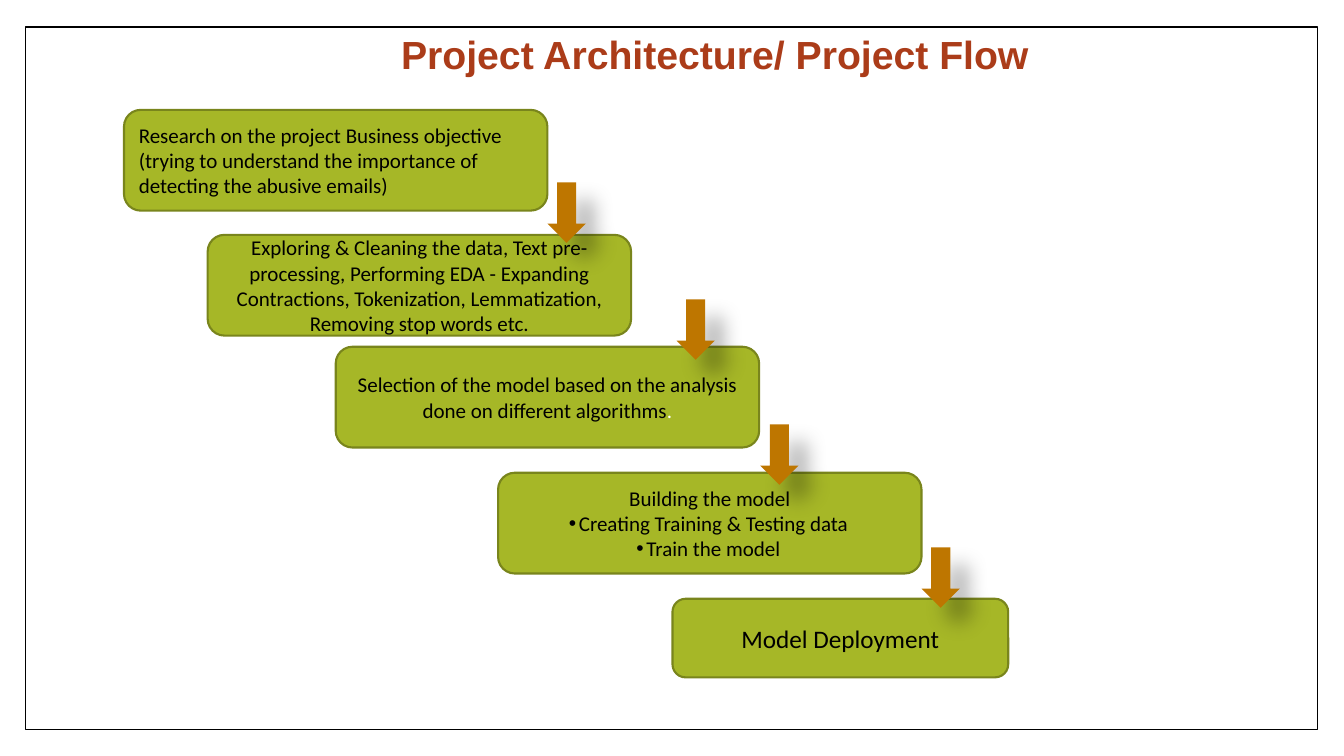
import pptx
import pptx.util
import pptx.dml.color
import pptx.enum.shapes
import pptx.enum.text
import pptx.oxml
import pptx.oxml.ns

Inches = pptx.util.Inches
Pt = pptx.util.Pt
Shapes = pptx.enum.shapes.MSO_SHAPE
Align = pptx.enum.text.PP_ALIGN

TITLE = "Project Architecture/ Project Flow"
LARGE = (4.2, 1)
SMALL = (3.33, 0.78)
STEPS = [
    (1.23, 1.09, LARGE, 15, Align.LEFT,
     ["Research on the project Business objective (trying to understand "
      "the importance of detecting the abusive emails)"]),
    (2.06, 2.33, LARGE, 15, Align.CENTER,
     ["Exploring & Cleaning the data, Text pre-processing, Performing EDA - "
      "Expanding Contractions, Tokenization, Lemmatization, "
      "Removing stop words etc."]),
    (3.33, 3.44, LARGE, 15, Align.CENTER,
     ["Selection of the model based on the analysis done on different algorithms"]),
    (4.94, 4.69, LARGE, 15, Align.CENTER,
     ["Building the model", "Creating Training & Testing data", "Train the model"]),
    (6.67, 5.94, SMALL, 18, Align.CENTER, ["Model Deployment"]),
]
WHITE_STOP_STEP = 2
ARROWS = [(5.43, 1.81), (6.71, 2.97), (7.54, 4.21), (9.14, 5.43)]
ARROW_SIZE = (0.38, 0.6)
NS = pptx.oxml.ns.nsdecls("a")
BULLET = [
    f'<a:buClr {NS}><a:srgbClr val="000000"/></a:buClr>',
    f'<a:buFont {NS} typeface="Arial"/>',
    f'<a:buChar {NS} char="•"/>',
]
SHADOW = (
    f'<a:outerShdw {NS} blurRad="{Pt(15)}" dist="{Pt(18)}" dir="2700000" '
    'algn="tl" rotWithShape="0"><a:srgbClr val="000000">'
    '<a:alpha val="29000"/></a:srgbClr></a:outerShdw>'
)


def color(value):
    return pptx.dml.color.RGBColor.from_string(value)


def style_font(font, name, size, value):
    font.name = name
    font.size = Pt(size)
    font.color.rgb = color(value)


def add_shape(page, kind, place, size, fill, line=None, width=1):
    shape = page.shapes.add_shape(kind, *map(Inches, place + size))
    shape.shadow.inherit = False
    shape.fill.solid()
    shape.fill.fore_color.rgb = color(fill)
    if line:
        shape.line.color.rgb = color(line)
        shape.line.width = Pt(width)
    else:
        shape.line.fill.background()
    return shape


def add_title(page):
    box = page.shapes.add_textbox(*map(Inches, (3.88, 0.25, 6.67, 0.57)))
    frame = box.text_frame
    frame.word_wrap = True
    frame.auto_size = pptx.enum.text.MSO_AUTO_SIZE.SHAPE_TO_FIT_TEXT
    frame.text = TITLE
    font = frame.paragraphs[0].runs[0].font
    style_font(font, "Arial", 28, "AB3C19")
    font.bold = True


def add_step(page, left, top, size, points, align, lines):
    box = add_shape(page, Shapes.ROUNDED_RECTANGLE, (left, top), size,
                    "A6B727", "79851C", 1.5)
    frame = box.text_frame
    frame.word_wrap = True
    frame.vertical_anchor = pptx.enum.text.MSO_ANCHOR.MIDDLE
    frame.text = "\n".join(lines)
    for index, para in enumerate(frame.paragraphs):
        para.alignment = align
        if index:
            props = para._p.get_or_add_pPr()
            props.set("marL", "0")
            props.set("indent", str(Inches(-0.1)))
            for element in BULLET:
                props.append(pptx.oxml.parse_xml(element))
        for span in para.runs:
            style_font(span.font, "Calibri", points, "000000")
    return box


def add_arrow(page, place):
    arrow = add_shape(page, Shapes.DOWN_ARROW, place, ARROW_SIZE, "BE7600")
    effects = arrow._element.spPr.find(pptx.oxml.ns.qn("a:effectLst"))
    effects.append(pptx.oxml.parse_xml(SHADOW))


def main():
    deck = pptx.Presentation()
    deck.slide_width = Inches(13.33)
    deck.slide_height = Inches(7.5)
    page = deck.slides.add_slide(deck.slide_layouts[6])
    add_shape(page, Shapes.RECTANGLE, (0.25, 0.27), (12.82, 6.97),
              "FFFFFF", "000000")
    add_title(page)
    boxes = [add_step(page, *step) for step in STEPS]
    stop = boxes[WHITE_STOP_STEP].text_frame.paragraphs[0].add_run()
    stop.text = "."
    style_font(stop.font, "Calibri", 15, "FFFFFF")
    for place in ARROWS:
        add_arrow(page, place)
    deck.save("out.pptx")


if __name__ == "__main__":
    main()
